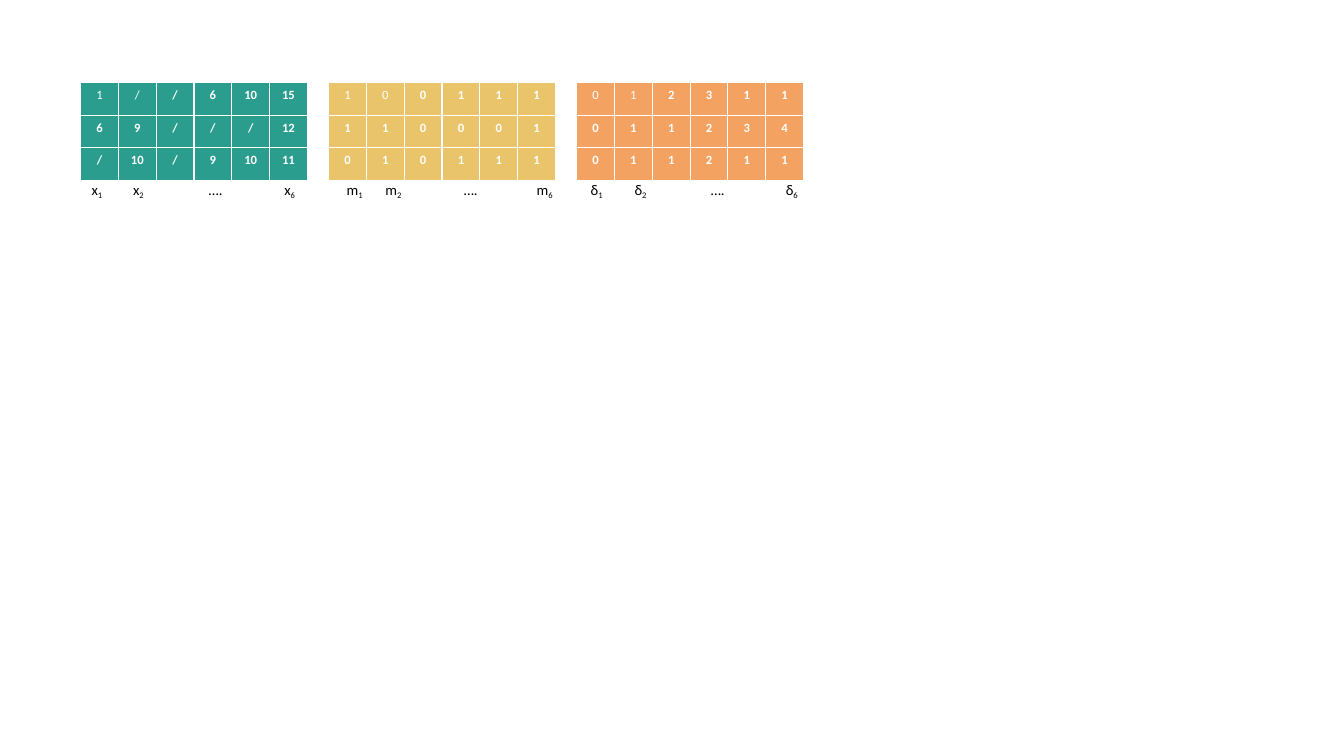
"""Build a slide with three coloured matrices: values, masks and time gaps."""
from lxml.etree import SubElement
from pptx import Presentation
from pptx.dml.color import RGBColor
from pptx.enum.text import MSO_AUTO_SIZE, PP_ALIGN
from pptx.oxml.ns import qn
from pptx.util import Inches, Pt

MATRICES = [
    {"symbol": "x", "fill": "2A9D8F", "left": 0.8, "labels": 0.81, "first": 0.81,
     "rows": ["1 / / 6 10 15", "6 9 / / / 12", "/ 10 / 9 10 11"]},
    {"symbol": "m", "fill": "E9C46A", "left": 3.26, "labels": 3.34, "first": 3.34,
     "rows": ["1 0 0 1 1 1", "1 1 0 0 0 1", "0 1 0 1 1 1"]},
    {"symbol": "δ", "fill": "F4A261", "left": 5.72, "labels": 5.79, "first": 5.76,
     "rows": ["0 1 2 3 1 1", "0 1 1 2 3 4", "0 1 1 2 1 1"]},
]
DOTS = " …."
TABLE_TOP, TABLE_WIDTH, TABLE_HEIGHT = 0.82, 2.25, 0.97
COLUMNS, ROWS = 6, 3
COLUMN_WIDTH = TABLE_WIDTH / COLUMNS
LABEL_TOP, LABEL_HEIGHT = 1.74, 0.28
PLAIN_CELLS = [(0, 0), (0, 1)]


def color(value):
    return RGBColor.from_string(value)


def write(para, text, size=10.5, ink="000000", bold=False, subscript=False):
    span = para.add_run()
    span.text = text
    span.font.name = "Calibri"
    span.font.size = Pt(size)
    span.font.bold = bold
    span.font.color.rgb = color(ink)
    if subscript:
        span.font._element.set("baseline", "-25000")


def add_borders(cell, ink="FFFFFF", width=1):
    properties = cell._tc.get_or_add_tcPr()
    for side in ("a:lnL", "a:lnR", "a:lnT", "a:lnB"):
        line = SubElement(properties, qn(side), w=str(Pt(width)))
        SubElement(SubElement(line, qn("a:solidFill")), qn("a:srgbClr"), val=ink)


def add_matrix(page, matrix):
    table = page.shapes.add_table(
        ROWS, COLUMNS, Inches(matrix["left"]), Inches(TABLE_TOP),
        Inches(TABLE_WIDTH), Inches(TABLE_HEIGHT)).table
    for row, values in enumerate(matrix["rows"]):
        for column, value in enumerate(values.split()):
            cell = table.cell(row, column)
            add_borders(cell)
            cell.fill.solid()
            cell.fill.fore_color.rgb = color(matrix["fill"])
            para = cell.text_frame.paragraphs[0]
            para.alignment = PP_ALIGN.CENTER
            write(para, value, size=9, ink="FFFFFF", bold=(row, column) not in PLAIN_CELLS)


def add_label(page, left, text, index="", columns=1, align=PP_ALIGN.CENTER):
    box = page.shapes.add_textbox(Inches(left), Inches(LABEL_TOP),
                                  Inches(columns * COLUMN_WIDTH), Inches(LABEL_HEIGHT))
    box.text_frame.word_wrap = True
    box.text_frame.auto_size = MSO_AUTO_SIZE.SHAPE_TO_FIT_TEXT
    para = box.text_frame.paragraphs[0]
    para.alignment = align
    write(para, text)
    if index:
        write(para, index, subscript=True)


deck = Presentation()
deck.slide_width, deck.slide_height = Inches(13.33), Inches(7.5)
page = deck.slides.add_slide(deck.slide_layouts[6])
for matrix in MATRICES:
    add_matrix(page, matrix)
    symbol, start = matrix["symbol"], matrix["labels"]
    add_label(page, matrix["first"], symbol, "1", align=PP_ALIGN.LEFT)
    for number in (2, COLUMNS):
        add_label(page, start + (number - 1) * COLUMN_WIDTH, symbol, str(number))
    add_label(page, start + 2 * COLUMN_WIDTH, DOTS, columns=3)
deck.save("out.pptx")
